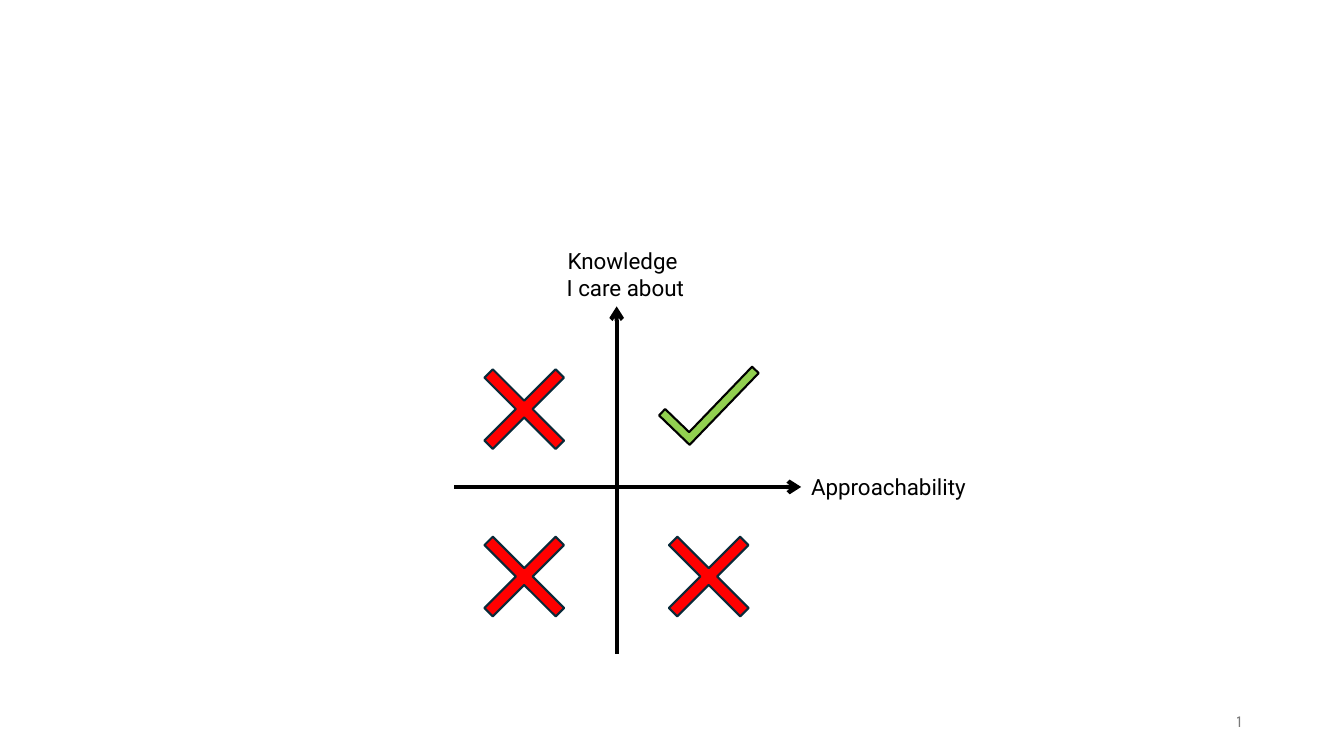
from dataclasses import dataclass

from lxml.etree import SubElement
from pptx import Presentation
from pptx.dml.color import RGBColor
from pptx.enum.shapes import MSO_CONNECTOR as Link, MSO_SHAPE as Preset
from pptx.enum.text import MSO_ANCHOR as Anchor, MSO_AUTO_SIZE as Fit, PP_ALIGN as Align
from pptx.oxml.ns import qn
from pptx.util import Cm, Pt


@dataclass(frozen=True)
class Theme:
    ink: str = "000000"
    muted: str = "797979"
    cross: str = "FF0000"
    cross_edge: str = "092A39"
    check: str = "92D050"
    label_font: str = "Roboto"
    number_font: str = "Karla"
    label_size: float = 16
    number_size: float = 12
    axis_width: float = 3
    edge_width: float = 1.5


THEME = Theme()
CENTER_X, CENTER_Y = 15.54, 12.27
LEFT, RIGHT = CENTER_X - 2.33, CENTER_X + 2.32
TOP, BOTTOM = CENTER_Y - 1.96, CENTER_Y + 2.26
CROSS_SIZE = 2.54


def color(value):
    return RGBColor.from_string(value)


def apply_format(target, values):
    for name, value in values.items():
        setattr(target, name, value)


def set_line(line, value, width):
    line.color.rgb = color(value)
    line.width = Pt(width)


def add_label(page, bounds, lines, font, size, ink, align, **frame_format):
    box = page.shapes.add_textbox(*map(Cm, bounds))
    frame = box.text_frame
    frame.text = "\n".join(lines)
    apply_format(frame, {"word_wrap": True, **frame_format})
    for para in frame.paragraphs:
        para.alignment = align
        for span in para.runs:
            apply_format(span.font, {"name": font, "size": Pt(size)})
            span.font.color.rgb = color(ink)


def add_axis(page, tip, base):
    axis = page.shapes.add_connector(Link.STRAIGHT, *map(Cm, tip + base))
    set_line(axis.line, THEME.ink, THEME.axis_width)
    outline = axis._element.spPr.find(qn("a:ln"))
    SubElement(outline, qn("a:headEnd"), type="arrow")
    SubElement(axis._element.spPr, qn("a:effectLst"))


def add_mark(page, preset, bounds, rotation, adjustments, fill, edge):
    mark = page.shapes.add_shape(preset, *map(Cm, bounds))
    mark.rotation = rotation
    mark.shadow.inherit = False
    for index, value in enumerate(adjustments):
        mark.adjustments[index] = value
    mark.fill.solid()
    mark.fill.fore_color.rgb = color(fill)
    set_line(mark.line, edge, THEME.edge_width)
    return mark


def add_cross(page, x, y):
    bounds = (x - CROSS_SIZE / 2, y - CROSS_SIZE / 2, CROSS_SIZE, CROSS_SIZE)
    add_mark(page, Preset.CROSS, bounds, 45, [0.441], THEME.cross, THEME.cross_edge)


def add_check(page):
    check = add_mark(page, Preset.HALF_FRAME, (16.61, 9.4, 2.51, 1.07), 313.9,
                     [0.215, 0.208], THEME.check, THEME.ink)
    check._element.spPr.find(qn("a:prstGeom")).set("prst", "corner")


def add_axis_label(page, bounds, lines, align, wrap):
    add_label(page, bounds, lines, THEME.label_font, THEME.label_size, THEME.ink,
              align, word_wrap=wrap, auto_size=Fit.SHAPE_TO_FIT_TEXT)


def main():
    deck = Presentation()
    apply_format(deck, {"slide_width": Cm(33.87), "slide_height": Cm(19.05)})
    page = deck.slides.add_slide(deck.slide_layouts[6])

    add_label(page, (23.93, 17.65, 7.62, 1.02), ["1"], THEME.number_font,
              THEME.number_size, THEME.muted, Align.RIGHT, vertical_anchor=Anchor.MIDDLE)
    add_axis(page, (CENTER_X, 7.72), (CENTER_X, 16.48))
    add_axis(page, (20.19, CENTER_Y), (11.43, CENTER_Y))
    add_axis_label(page, (13.97, 6.1, 3.58, 1.63), ["Knowledge ", "I care about"],
                   Align.CENTER, True)
    add_axis_label(page, (20.19, 11.79, 4.47, 0.94), ["Approachability"], Align.LEFT, False)
    for x, y in ((LEFT, TOP), (LEFT, BOTTOM), (RIGHT, BOTTOM)):
        add_cross(page, x, y)
    add_check(page)
    deck.save("out.pptx")


if __name__ == "__main__":
    main()
